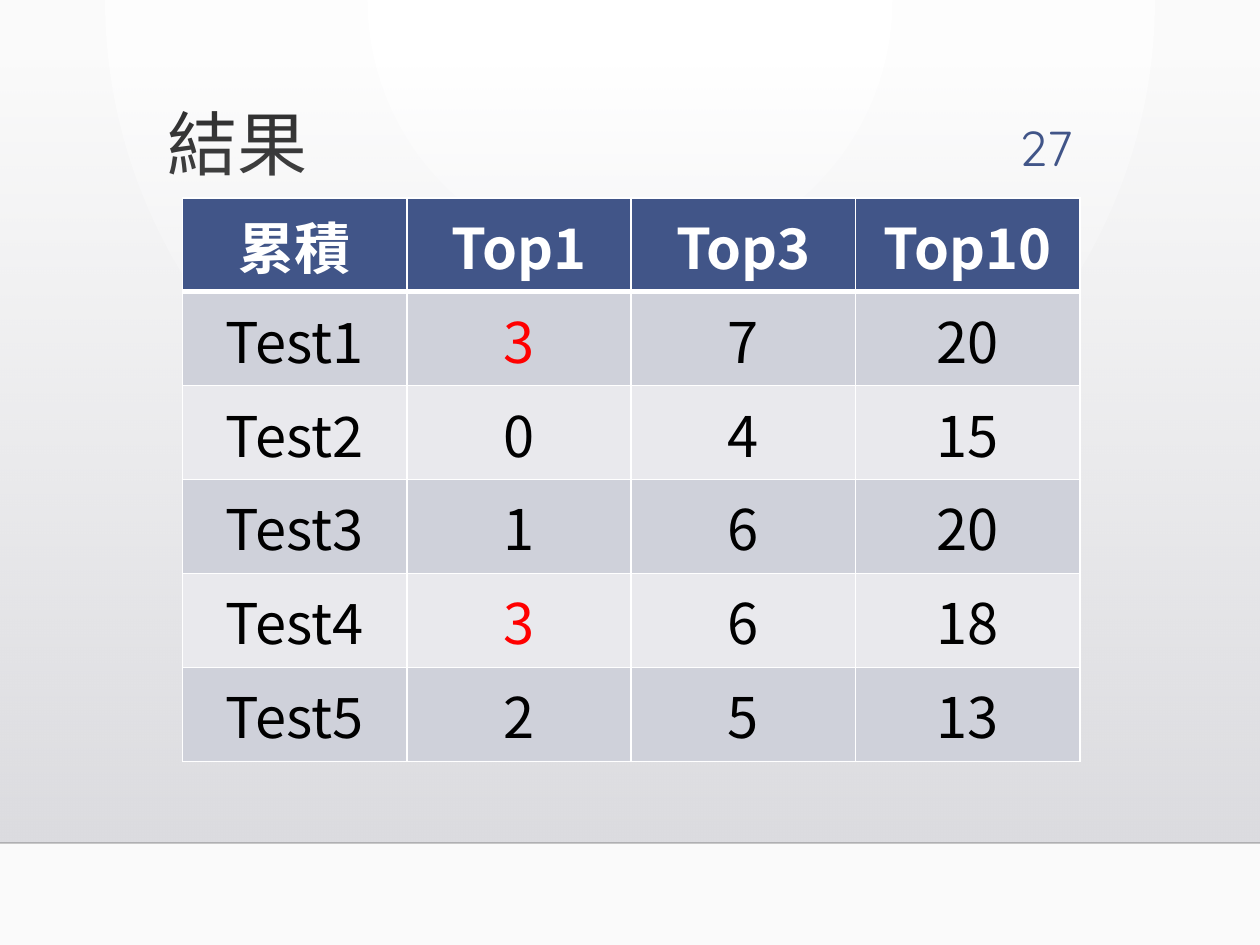
from dataclasses import dataclass

from lxml import etree
from pptx import Presentation
from pptx.dml.color import RGBColor
from pptx.enum.shapes import MSO_CONNECTOR, MSO_SHAPE
from pptx.enum.text import MSO_ANCHOR, MSO_AUTO_SIZE, PP_ALIGN
from pptx.oxml import parse_xml
from pptx.oxml.ns import nsdecls, qn
from pptx.util import Inches, Pt

LEFT, CENTER, RIGHT = PP_ALIGN.LEFT, PP_ALIGN.CENTER, PP_ALIGN.RIGHT
MIDDLE = MSO_ANCHOR.MIDDLE
NO_AUTOFIT = MSO_AUTO_SIZE.NONE
RECT, STRAIGHT = MSO_SHAPE.RECTANGLE, MSO_CONNECTOR.STRAIGHT

COLORS = {
    "white": "FFFFFF", "floor": "FAFAFA", "shade_top": "DCDCE0",
    "shade_end": "DEDEE2", "horizon": "000001", "title": "262626",
    "accent": "415588", "band_dark": "CFD1DA", "band_light": "E9E9ED",
    "text": "000000", "best": "FF0000",
}
SANS, NUMBER_FONT = "Noto Sans CJK JP", "Quicksand"
HEADERS = ["累積", "Top1", "Top3", "Top10"]
RESULTS = [
    ["Test1", 3, 7, 20],
    ["Test2", 0, 4, 15],
    ["Test3", 1, 6, 20],
    ["Test4", 3, 6, 18],
    ["Test5", 2, 5, 13],
]
COL_W, ROW_H = 1.78, 0.73


@dataclass
class TextStyle:
    font: str
    size: int
    color: str
    align: PP_ALIGN
    bold: bool = False


@dataclass
class Stop:
    pos: int
    color: str
    alpha: int = 100


def rgb(name: str) -> RGBColor:
    return RGBColor.from_string(COLORS[name])


def gradient(stops: list[Stop], direction: str):
    items = "".join(
        f'<a:gs pos="{st.pos * 1000}"><a:srgbClr val="{COLORS[st.color]}">'
        f'<a:alpha val="{st.alpha * 1000}"/></a:srgbClr></a:gs>' for st in stops)
    return parse_xml(f'<a:gradFill {nsdecls("a")} rotWithShape="1">'
                     f'<a:gsLst>{items}</a:gsLst>{direction}</a:gradFill>')


def replace_solid(parent, fill) -> None:
    parent.replace(parent.find(qn("a:solidFill")), fill)


def write(tf, text: str, style: TextStyle) -> None:
    tf.word_wrap = True
    p = tf.paragraphs[0]
    p.alignment = style.align
    r = p.add_run()
    r.text = text
    formats = {"name": style.font, "size": Pt(style.size), "bold": style.bold}
    for key, value in formats.items():
        setattr(r.font, key, value)
    r.font.color.rgb = rgb(style.color)
    ea = etree.SubElement(r.font._element, qn("a:ea"))
    ea.set("typeface", style.font)


def add_backdrop(s) -> None:
    s.background.fill.solid()
    replace_solid(s.element.find(".//" + qn("p:bgPr")), gradient(
        [Stop(0, "white"), Stop(100, "floor")],
        '<a:path path="circle"><a:fillToRect l="43000" t="0" r="43000" b="100000"/></a:path>'))

    sp = s.shapes.add_shape(RECT, 0, Inches(0.51), Inches(10), Inches(6.18))
    sp.shadow.inherit = False
    sp.line.fill.background()
    sp.fill.solid()
    replace_solid(sp._element.spPr, gradient(
        [Stop(0, "shade_top", 0), Stop(100, "shade_end")],
        '<a:lin ang="5400000" scaled="0"/>'))

    line = s.shapes.add_connector(STRAIGHT, 0, Inches(6.69), Inches(10), Inches(6.69))
    line.line.width = Pt(1)
    line.line.color.rgb = rgb("horizon")
    color = line._element.spPr.find(".//" + qn("a:srgbClr"))
    etree.SubElement(color, qn("a:alpha")).set("val", "20000")
    etree.SubElement(line._element.spPr, qn("a:effectLst"))


def set_borders(cell, widths: dict[str, int]) -> None:
    tcPr = cell._tc.get_or_add_tcPr()
    for side, width in widths.items():
        tcPr.append(parse_xml(
            f'<a:ln{side} {nsdecls("a")} w="{Pt(width)}"><a:solidFill>'
            f'<a:srgbClr val="{COLORS["white"]}"/></a:solidFill></a:ln{side}>'))


def add_results(s) -> None:
    rows = [HEADERS] + RESULTS
    n_rows, n_cols = len(rows), len(HEADERS)
    table = s.shapes.add_table(n_rows, n_cols, Inches(1.45), Inches(1.57),
                               Inches(COL_W * n_cols), Inches(ROW_H * n_rows)).table
    for col in table.columns:
        col.width = Inches(COL_W)
    best = max(row[1] for row in RESULTS)
    for i, values in enumerate(rows):
        table.rows[i].height = Inches(ROW_H)
        header = i == 0
        fill = "accent" if header else "band_dark" if i % 2 else "band_light"
        widths = {"L": 1, "R": 1, "T": 3 if i == 1 else 1, "B": 3 if header else 1}
        for j, value in enumerate(values):
            cell = table.cell(i, j)
            set_borders(cell, widths)
            cell.fill.solid()
            cell.fill.fore_color.rgb = rgb(fill)
            is_best = j == 1 and value == best
            color = "white" if header else "best" if is_best else "text"
            write(cell.text_frame, str(value), TextStyle(SANS, 32, color, CENTER, header))


def main() -> None:
    prs = Presentation()
    prs.slide_width, prs.slide_height = Inches(10), Inches(7.5)
    s = prs.slides.add_slide(prs.slide_layouts[5])
    add_backdrop(s)

    title = s.shapes.title
    place = {"left": 1.23, "top": 0.7, "width": 1.81, "height": 0.86}
    for key, value in place.items():
        setattr(title, key, Inches(value))
    number = s.shapes.add_textbox(Inches(7.74), Inches(0.89), Inches(0.87), Inches(0.55))
    for sp, text, style in (
        (title, "結果", TextStyle(SANS, 40, "title", LEFT)),
        (number, "27", TextStyle(NUMBER_FONT, 28, "accent", RIGHT)),
    ):
        sp.text_frame.auto_size = NO_AUTOFIT
        sp.text_frame.vertical_anchor = MIDDLE
        write(sp.text_frame, text, style)

    add_results(s)
    prs.save("out.pptx")


if __name__ == "__main__":
    main()
